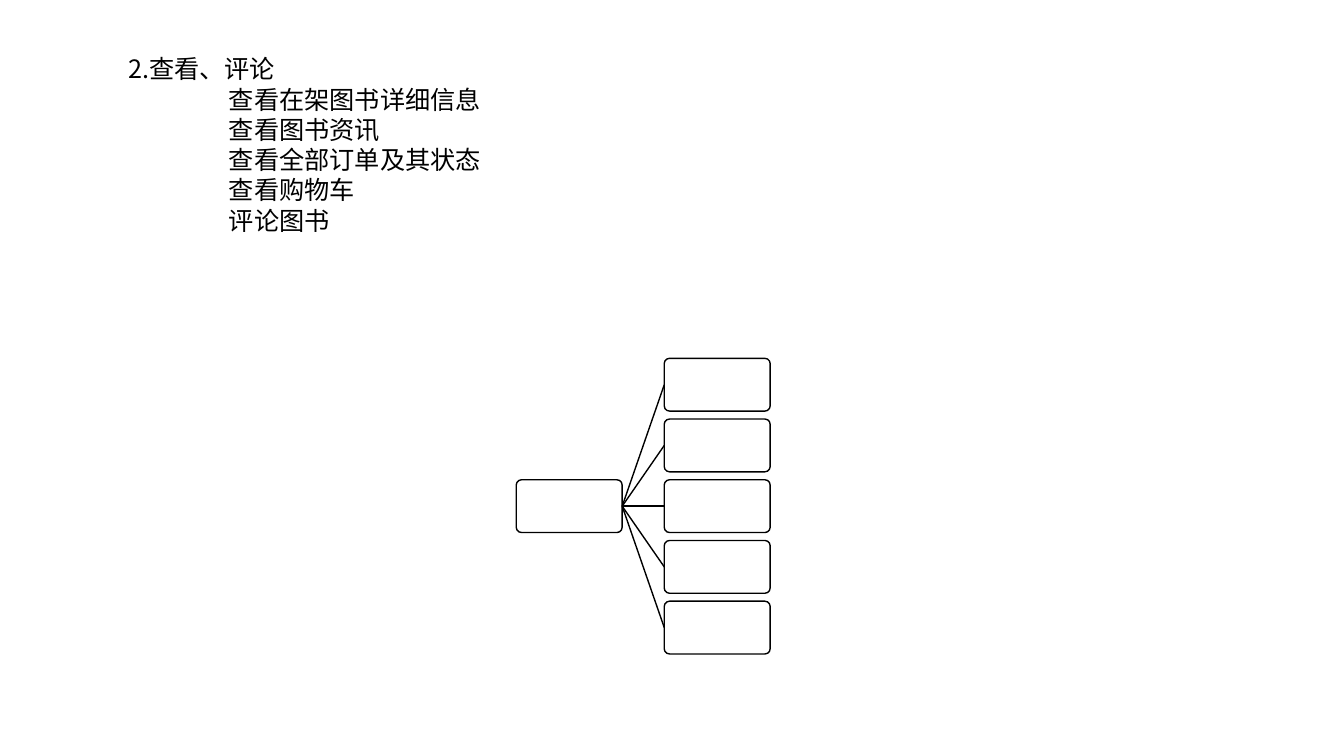
from lxml import etree
from pptx import Presentation
from pptx.dml.color import RGBColor
from pptx.enum.shapes import MSO_CONNECTOR, MSO_SHAPE
from pptx.enum.text import MSO_AUTO_SIZE
from pptx.oxml.ns import qn
from pptx.util import Cm, Pt

ROUND_RECT = MSO_SHAPE.ROUNDED_RECTANGLE
STRAIGHT = MSO_CONNECTOR.STRAIGHT
FIT_SHAPE = MSO_AUTO_SIZE.SHAPE_TO_FIT_TEXT

FONT = "Noto Sans CJK SC"
BLACK, WHITE = "000000", "FFFFFF"
HEADING = "2.查看、评论"
FEATURES = ["查看在架图书详细信息", "查看图书资讯", "查看全部订单及其状态",
            "查看购物车", "评论图书"]
NODE_W, NODE_H = 2.67, 1.33
TAB_STOP = 2.54


def color(hex_string):
    return RGBColor.from_string(hex_string)


def set_line(s):
    s.line.color.rgb = color(BLACK)
    s.line.width = Pt(1)


def add_tab_stop(p, position):
    tabs = etree.SubElement(p._p.get_or_add_pPr(), qn("a:tabLst"))
    etree.SubElement(tabs, qn("a:tab"), pos=str(Cm(position)), algn="l")


def add_outline(slide, left, top, width, height):
    """Write the heading with its features one tab stop further in."""
    box = slide.shapes.add_textbox(Cm(left), Cm(top), Cm(width), Cm(height))
    tf = box.text_frame
    tf.word_wrap = False
    tf.auto_size = FIT_SHAPE
    for i, line in enumerate([HEADING] + ["\t" + name for name in FEATURES]):
        p = tf.paragraphs[0] if i == 0 else tf.add_paragraph()
        add_tab_stop(p, TAB_STOP)
        r = p.add_run()
        r.text = line
        for key, value in {"size": Pt(18), "name": FONT}.items():
            setattr(r.font, key, value)
        r.font.color.rgb = color(BLACK)
        etree.SubElement(r.font._element, qn("a:ea"), typeface=FONT)


def add_node(slide, left, top):
    s = slide.shapes.add_shape(ROUND_RECT, Cm(left), Cm(top), Cm(NODE_W), Cm(NODE_H))
    s.adjustments[0] = 0.1
    s.shadow.inherit = False
    s.fill.solid()
    s.fill.fore_color.rgb = color(WHITE)
    set_line(s)


def add_branch(slide, x1, y1, x2, y2):
    s = slide.shapes.add_connector(STRAIGHT, Cm(x1), Cm(y1), Cm(x2), Cm(y2))
    set_line(s)
    etree.SubElement(s._element.spPr, qn("a:effectLst"))


def add_tree(slide, left, top, width, height):
    """Draw a root node at the left, joined to one node per feature at the right."""
    middle = top + height / 2
    child_left = left + width - NODE_W
    pitch = (height - NODE_H) / (len(FEATURES) - 1)
    add_node(slide, left, middle - NODE_H / 2)
    for i in range(len(FEATURES)):
        child_top = top + i * pitch
        add_branch(slide, left + NODE_W, middle, child_left, child_top + NODE_H / 2)
        add_node(slide, child_left, child_top)


def main():
    prs = Presentation()
    prs.slide_width, prs.slide_height = Cm(33.87), Cm(19.05)
    slide = prs.slides.add_slide(prs.slide_layouts[6])
    add_outline(slide, 2.98, 1.23, 9.5, 4.88)
    add_tree(slide, 13.01, 9.03, 6.4, 7.45)
    prs.save("out.pptx")


if __name__ == "__main__":
    main()
